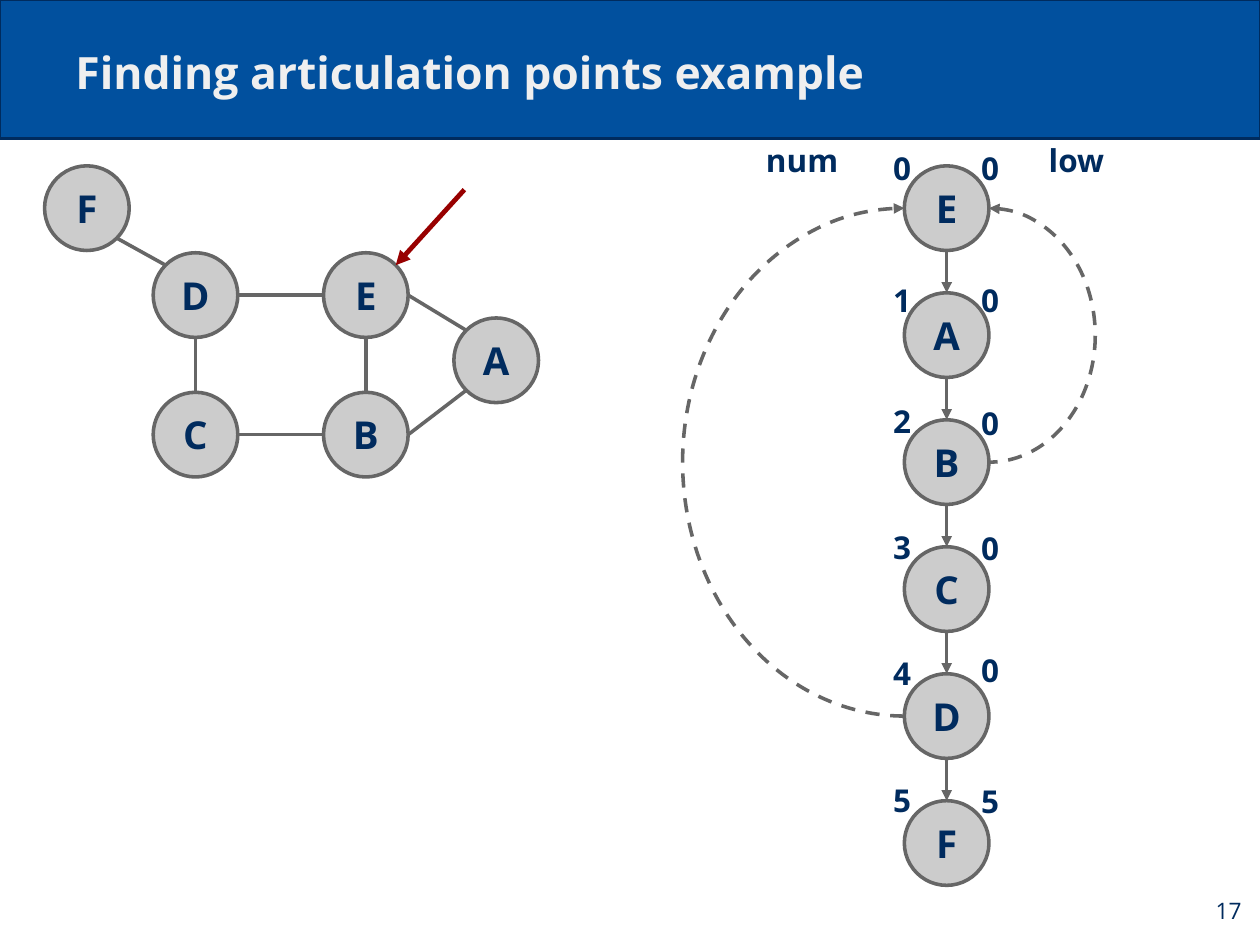
import math
import pptx
import pptx.dml.color
import pptx.enum.dml
import pptx.enum.shapes
import pptx.enum.text
import pptx.oxml
import pptx.oxml.ns
import pptx.util

Inches = pptx.util.Inches
SHAPE = pptx.enum.shapes.MSO_SHAPE
ANCHOR = pptx.enum.text.MSO_ANCHOR
ALIGN = pptx.enum.text.PP_ALIGN
FONT = "Open Sans"
NAVY, BLUE, PALE = "002B5E", "01509E", "EFEFEF"
GREY, LIGHT, RED = "666666", "CCCCCC", "980000"
SIZE = 0.74  # node diameter
RAD = SIZE / 2
DIAG = RAD * math.sqrt(0.5)

# Points on a node's rim, as offsets from its centre
PORTS = {"N": (0, -RAD), "S": (0, RAD), "W": (-RAD, 0), "E": (RAD, 0),
         "NW": (-DIAG, -DIAG), "NE": (DIAG, -DIAG),
         "SW": (-DIAG, DIAG), "SE": (DIAG, DIAG)}


def color(code):
    return pptx.dml.color.RGBColor.from_string(code)


def apply(item, form):
    for name, value in form.items():
        setattr(item, name, value)


def write(shape, text, size, tint=NAVY, bold=True,
          align=ALIGN.CENTER, anchor=ANCHOR.MIDDLE):
    frame = shape.text_frame
    pad = Inches(0.11)
    apply(frame, {"word_wrap": True, "vertical_anchor": anchor,
                  "auto_size": pptx.enum.text.MSO_AUTO_SIZE.NONE,
                  "margin_left": pad, "margin_right": pad,
                  "margin_top": pad, "margin_bottom": pad})
    para = frame.paragraphs[0]
    para.alignment = align
    run = para.add_run()
    run.text = text
    apply(run.font, {"name": FONT, "size": pptx.util.Pt(size), "bold": bold})
    run.font.color.rgb = color(tint)


def draw(slide, kind, box, fill=None, line=None, width=2.25):
    shape = slide.shapes.add_shape(kind, *map(Inches, box))
    shape.shadow.inherit = False
    if fill:
        shape.fill.solid()
        shape.fill.fore_color.rgb = color(fill)
    else:
        shape.fill.background()
    if line:
        shape.line.color.rgb = color(line)
        shape.line.width = pptx.util.Pt(width)
    else:
        shape.line.fill.background()
    return shape


def tip(shape, end="tailEnd"):
    edge = shape.line._get_or_add_ln()
    head = pptx.oxml.parse_xml(
        f'<a:{end} {pptx.oxml.ns.nsdecls("a")} type="triangle"/>')
    edge.append(head)


def join(slide, start, stop, tint=GREY, width=2.25, arrow=False):
    link = slide.shapes.add_connector(
        pptx.enum.shapes.MSO_CONNECTOR.STRAIGHT, *map(Inches, start + stop))
    link.line.color.rgb = color(tint)
    link.line.width = pptx.util.Pt(width)
    if arrow:
        tip(link)
    link.element.spPr.append(pptx.oxml.parse_xml(
        f'<a:effectLst {pptx.oxml.ns.nsdecls("a")}/>'))


def port(mid, side):
    return tuple(a + b for a, b in zip(mid, PORTS[side]))


def node(slide, name, mid):
    box = (mid[0] - RAD, mid[1] - RAD, SIZE, SIZE)
    write(draw(slide, SHAPE.OVAL, box, LIGHT, GREY), name, 24.2)


def label(slide, text, box):
    write(draw(slide, SHAPE.OVAL, box), text, 19.8)


def header(slide, box):
    left, top, wide, high = box
    band = draw(slide, SHAPE.RECTANGLE, box, BLUE, NAVY, 1.5)
    title = slide.shapes.title
    title.element.addprevious(band.element)
    apply(title, {"left": Inches(left + 0.55), "top": Inches(top + 0.24),
                  "width": Inches(wide - 1.1), "height": Inches(0.73)})
    write(title, "Finding articulation points example", 28, PALE,
          align=ALIGN.LEFT, anchor=ANCHOR.BOTTOM)


def graph(slide, box):
    left, top = box[:2]
    spots = {"A": (3.95, 1.7), "B": (2.81, 2.35), "E": (2.81, 1.13),
             "D": (1.32, 1.13), "C": (1.32, 2.35), "F": (RAD, RAD)}
    mids = {name: (left + x, top + y) for name, (x, y) in spots.items()}
    for name, mid in mids.items():
        node(slide, name, mid)
    # Edges: node and side at each end
    for one, out, two, into in (
            ("A", "NW", "E", "E"), ("A", "SW", "B", "E"),
            ("E", "W", "D", "E"), ("B", "W", "C", "E"),
            ("E", "S", "B", "N"), ("D", "S", "C", "N"),
            ("F", "SE", "D", "NW")):
        join(slide, port(mids[one], out), port(mids[two], into))
    # Pointer to the start node
    goal = port(mids["E"], "NE")
    join(slide, (goal[0] + 0.6, goal[1] - 0.66), goal, RED, 3, True)


def back(slide, mid, reach, drop, side):
    # Dashed back edge: half an ellipse that ends at the root
    x, y = port(mid, side)
    arc = draw(slide, SHAPE.ARC, (x - reach, y, 2 * reach, drop), line=GREY)
    arc.line.dash_style = pptx.enum.dml.MSO_LINE.DASH
    low, high = 54, 162  # 90 and 270 degrees
    west = side == "W"
    for i, turn in enumerate((low, high) if west else (high, low)):
        arc.adjustments[i] = turn
    tip(arc, "tailEnd" if west else "headEnd")


def tree(slide, box):
    left, top, wide = box[:3]
    step = 1.11
    root = (left + 2.03, top + 0.72)
    back(slide, root, 1.94, 4 * step, "W")
    back(slide, root, 0.93, 2 * step, "E")
    # Node, low value, and tops of the num and low labels
    rows = (("E", 0, 0.07, 0.07), ("A", 0, 1.22, 1.22),
            ("B", 0, 2.28, 2.3), ("C", 0, 3.38, 3.39),
            ("D", 0, 4.48, 4.46), ("F", 5, 5.59, 5.6))
    last = None
    for num, (name, low, high, deep) in enumerate(rows):
        mid = (root[0], root[1] + num * step)
        node(slide, name, mid)
        if last:
            join(slide, port(last, "S"), port(mid, "N"), arrow=True)
        label(slide, str(num), (left + 1.34, top + high, 0.6, 0.6))
        label(slide, str(low), (left + 2.11, top + deep, 0.6, 0.6))
        last = mid
    # Column heads
    label(slide, "num", (left, top, 1.53, 0.6))
    label(slide, "low", (left + wide - 1.53, top, 1.53, 0.6))


def footer(slide, box):
    page = slide.shapes.add_textbox(*map(Inches, box))
    write(page, "17", 14.3, bold=False, align=ALIGN.RIGHT)


def main():
    deck = pptx.Presentation()
    apply(deck, {"slide_width": Inches(11.02), "slide_height": Inches(8.27)})
    slide = deck.slides.add_slide(deck.slide_layouts[5])
    header(slide, (0, 0, 11.02, 1.21))
    graph(slide, (0.39, 1.45, 4.32, 2.72))
    tree(slide, (6.25, 1.1, 3.93, 6.64))
    footer(slide, (10.31, 7.64, 0.66, 0.63))
    deck.save("out.pptx")


if __name__ == "__main__":
    main()
